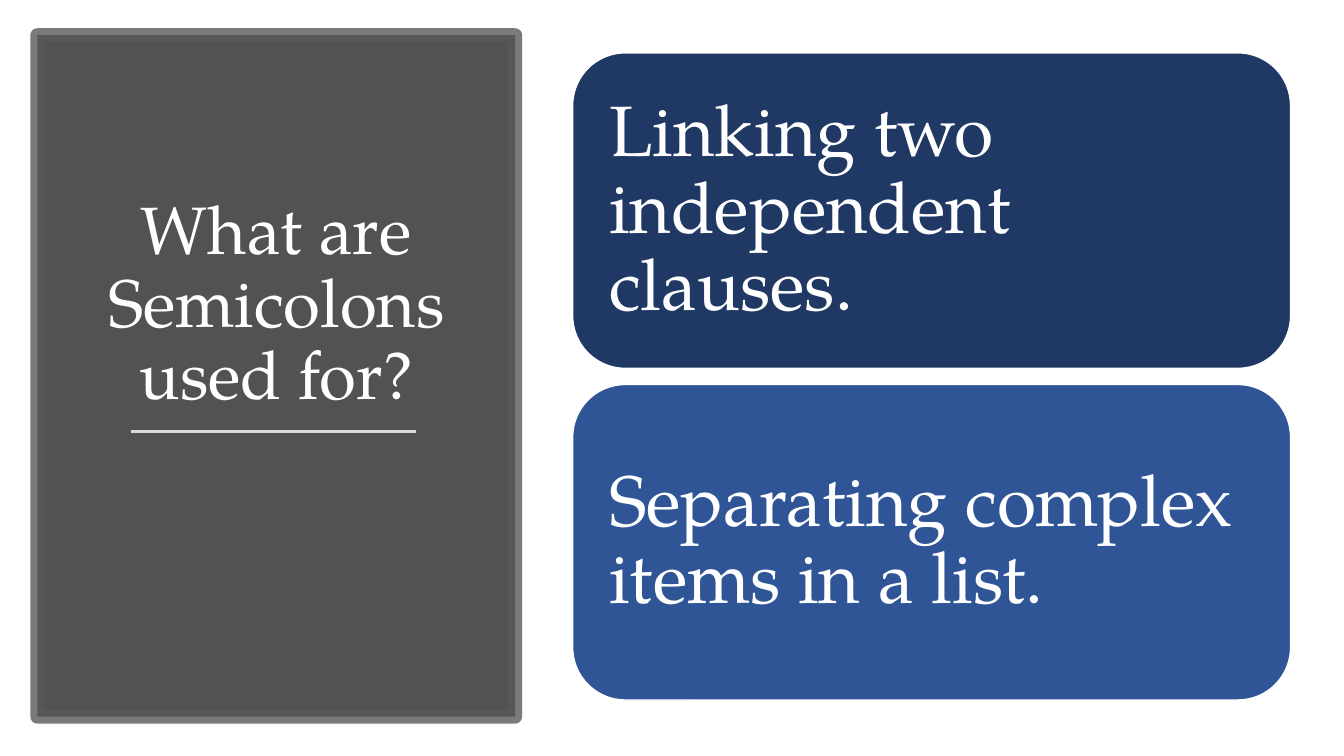
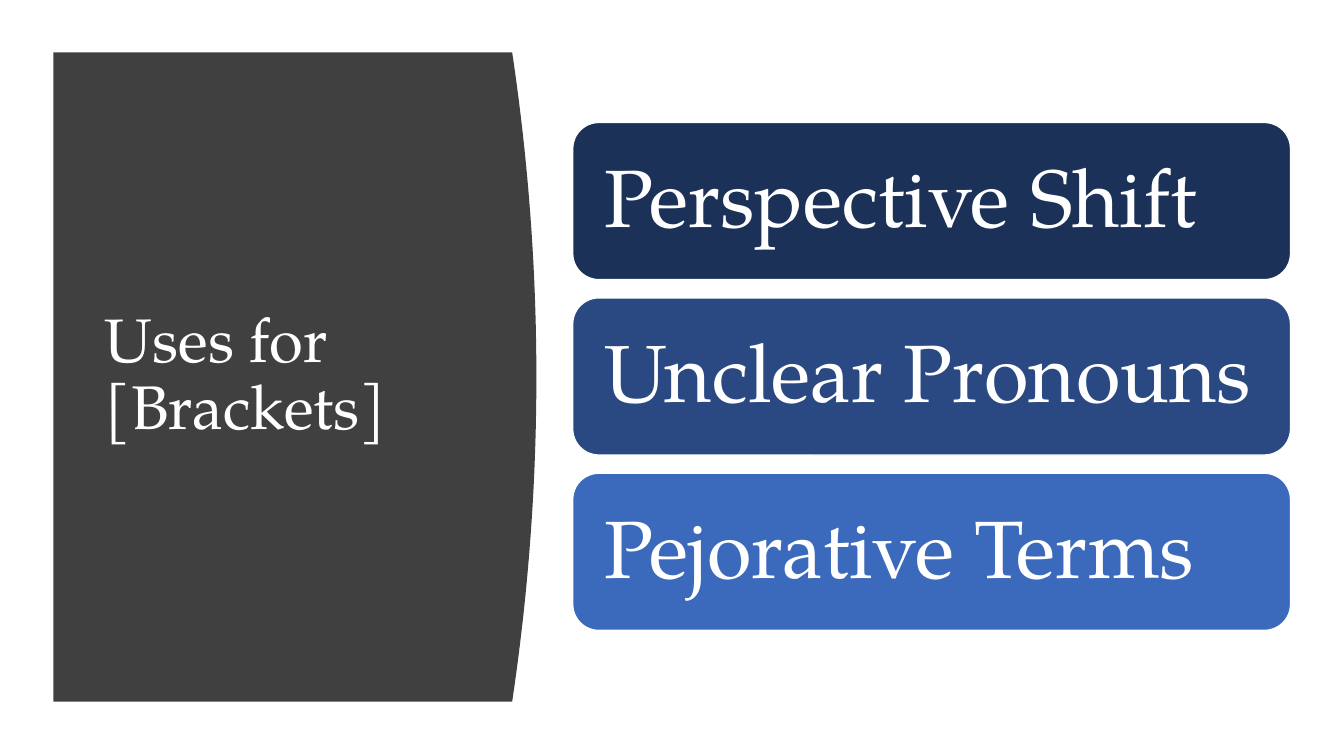
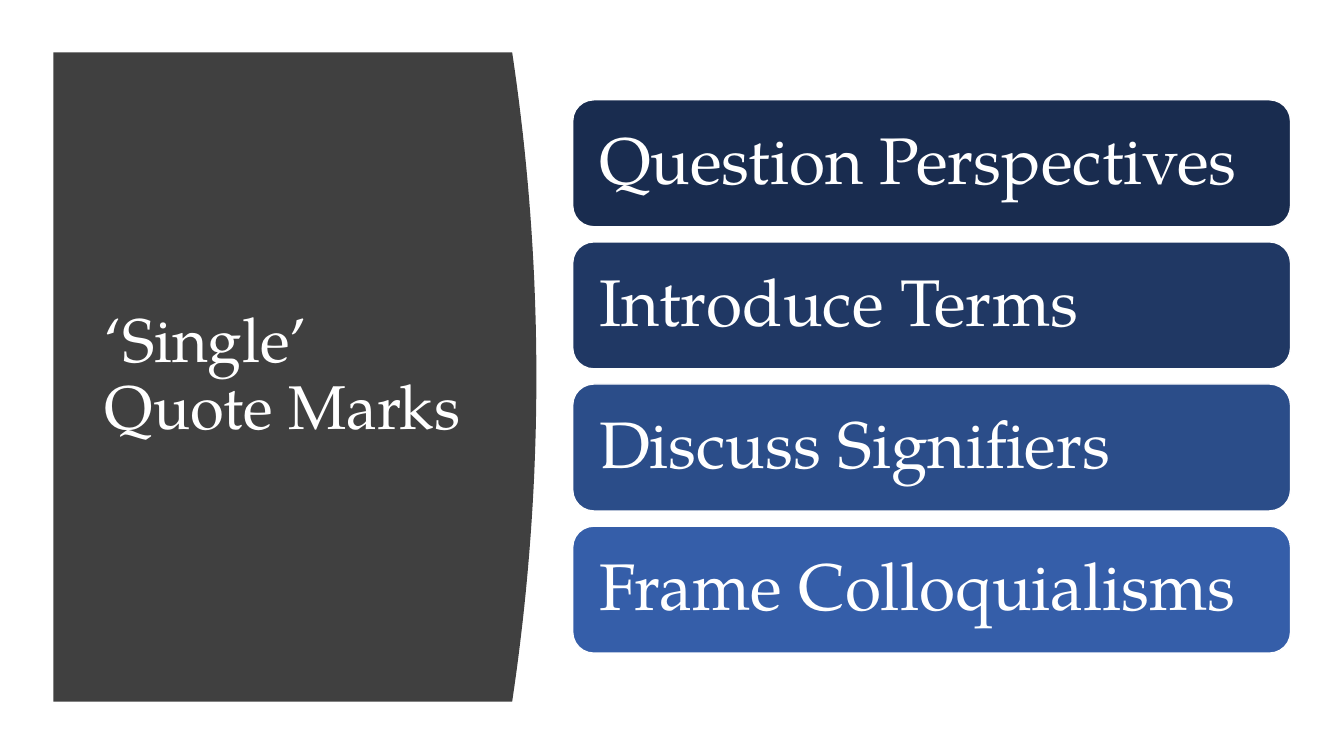
import pptx
import pptx.util
import pptx.dml.color
import pptx.enum.shapes
import pptx.enum.text
import pptx.oxml
import pptx.oxml.ns
from lxml import etree

Inches, Pt = pptx.util.Inches, pptx.util.Pt
SHAPE = pptx.enum.shapes.MSO_SHAPE
ALIGN = pptx.enum.text.PP_ALIGN
ANCHOR = pptx.enum.text.MSO_ANCHOR

FONT = "TeX Gyre Pagella"
COLOURS = {
    "white": "FFFFFF", "panel": "404040", "frame": "595959", "divider": "D9D9D9",
    "night": "192C4F", "midnight": "1C3158", "navy": "203864", "indigo": "2A4982",
    "denim": "2B4D89", "royal": "2F5597", "cobalt": "355EA9", "azure": "3B69BB",
}
PANEL_BOX = (0.53, 0.52, 4.79, 6.44)
CARD_BOX = (5.68, 0.52, 7.12, 6.43)


def rgb(name):
    return pptx.dml.color.RGBColor.from_string(COLOURS[name])


def set_fill(fill, colour, opacity=100):
    fill.solid()
    fill.fore_color.rgb = rgb(colour)
    if opacity < 100:
        srgb = fill._xPr.find(".//" + pptx.oxml.ns.qn("a:srgbClr"))
        alpha = etree.SubElement(srgb, pptx.oxml.ns.qn("a:alpha"))
        alpha.set("val", str(opacity * 1000))


def write_text(shape, text, size, align=ALIGN.LEFT, anchor=ANCHOR.MIDDLE, inset=0.1):
    frame = shape.text_frame
    frame.text = text
    frame.word_wrap = True
    frame.auto_size = pptx.enum.text.MSO_AUTO_SIZE.NONE
    frame.vertical_anchor = anchor
    frame.margin_left = frame.margin_right = Inches(inset)
    frame.margin_top = frame.margin_bottom = Inches(min(inset, 0.05) if inset <= 0.1 else inset)
    paragraph = frame.paragraphs[0]
    paragraph.alignment = align
    paragraph.line_spacing = 0.9
    paragraph.font.name = FONT
    paragraph.font.size = Pt(size)
    paragraph.font.color.rgb = rgb("white")


def add_title(slide, text, box, **text_format):
    title = slide.shapes.title
    title.left, title.top, title.width, title.height = map(Inches, box)
    write_text(title, text, **text_format)


def framed_panel(slide, title, box):
    """Translucent framed panel with a centred title above a divider."""
    left, top, width, height = box
    panel = slide.shapes.add_shape(SHAPE.RECTANGLE, *map(Inches, box))
    panel.shadow.inherit = False
    set_fill(panel.fill, "panel", 90)
    panel.line.width = Pt(10)
    set_fill(panel.line.fill, "frame", 80)

    # Divider below the title
    divider_y = Inches(top + 3.93)
    divider = slide.shapes.add_connector(
        pptx.enum.shapes.MSO_CONNECTOR.STRAIGHT,
        Inches(left + 0.93), divider_y, Inches(left + 3.76), divider_y)
    divider.line.width = Pt(1.75)
    divider.line.color.rgb = rgb("divider")
    etree.SubElement(divider._element.spPr, pptx.oxml.ns.qn("a:effectLst"))

    add_title(slide, title, (left + 0.37, top + 0.65, 4, 3.16),
              size=48, align=ALIGN.CENTER, anchor=ANCHOR.BOTTOM)


def curved_panel(slide, title, box, bulge=0.24, steps=40):
    """Dark panel whose right edge bows outward, with a left-aligned title."""
    left, top, width, height = box
    edge = []
    for step in range(steps + 1):
        t = step / steps
        x = left + width - bulge * (2 * t - 1) ** 2
        edge.append((Inches(x), Inches(top + height * t)))
    edge.append((Inches(left), Inches(top + height)))
    builder = slide.shapes.build_freeform(Inches(left), Inches(top))
    builder.add_line_segments(edge, close=True)
    panel = builder.convert_to_shape()
    panel.shadow.inherit = False
    set_fill(panel.fill, "panel")
    panel.line.fill.background()

    add_title(slide, title, (left + 0.41, top + 0.59, 3.74, 5.24), size=44)


def card_stack(slide, cards, box, card_height, gap, size, inset):
    """Rounded cards, evenly spaced and centred vertically in the box."""
    left, top, width, height = box
    pitch = card_height + gap
    first_top = top + (height - pitch * len(cards) + gap) / 2
    for index, (text, colour) in enumerate(cards):
        card = slide.shapes.add_shape(
            SHAPE.ROUNDED_RECTANGLE, Inches(left), Inches(first_top + index * pitch),
            Inches(width), Inches(card_height))
        card.shadow.inherit = False
        set_fill(card.fill, colour)
        card.line.width = Pt(1)
        card.line.color.rgb = rgb("white")
        write_text(card, text, size=size, inset=inset)


def main():
    deck = pptx.Presentation()
    deck.slide_width, deck.slide_height = Inches(13.33), Inches(7.5)
    title_only = deck.slide_layouts[5]

    # Semicolons
    slide = deck.slides.add_slide(title_only)
    framed_panel(slide, "What are Semicolons used for?", (0.37, 0.35, 4.74, 6.76))
    card_stack(slide, [("Linking two independent clauses.", "navy"),
                       ("Separating complex items in a list.", "royal")],
               CARD_BOX, card_height=3.13, gap=0.16, size=51, inset=0.21)

    # Brackets
    slide = deck.slides.add_slide(title_only)
    curved_panel(slide, "Uses for [Brackets]", PANEL_BOX)
    card_stack(slide, [("Perspective Shift", "midnight"),
                       ("Unclear Pronouns", "indigo"),
                       ("Pejorative Terms", "azure")],
               CARD_BOX, card_height=1.56, gap=0.18, size=58, inset=0.24)

    # Single quote marks
    slide = deck.slides.add_slide(title_only)
    curved_panel(slide, "‘Single’ Quote Marks", PANEL_BOX)
    card_stack(slide, [("Question Perspectives", "night"),
                       ("Introduce Terms", "navy"),
                       ("Discuss Signifiers", "denim"),
                       ("Frame Colloquialisms", "cobalt")],
               CARD_BOX, card_height=1.26, gap=0.15, size=47, inset=0.2)

    # The title must sit in front of its panel
    for slide in deck.slides:
        title = slide.shapes.title._element
        panel = slide.shapes[1]._element
        panel.addnext(title)

    deck.save("out.pptx")


if __name__ == "__main__":
    main()
